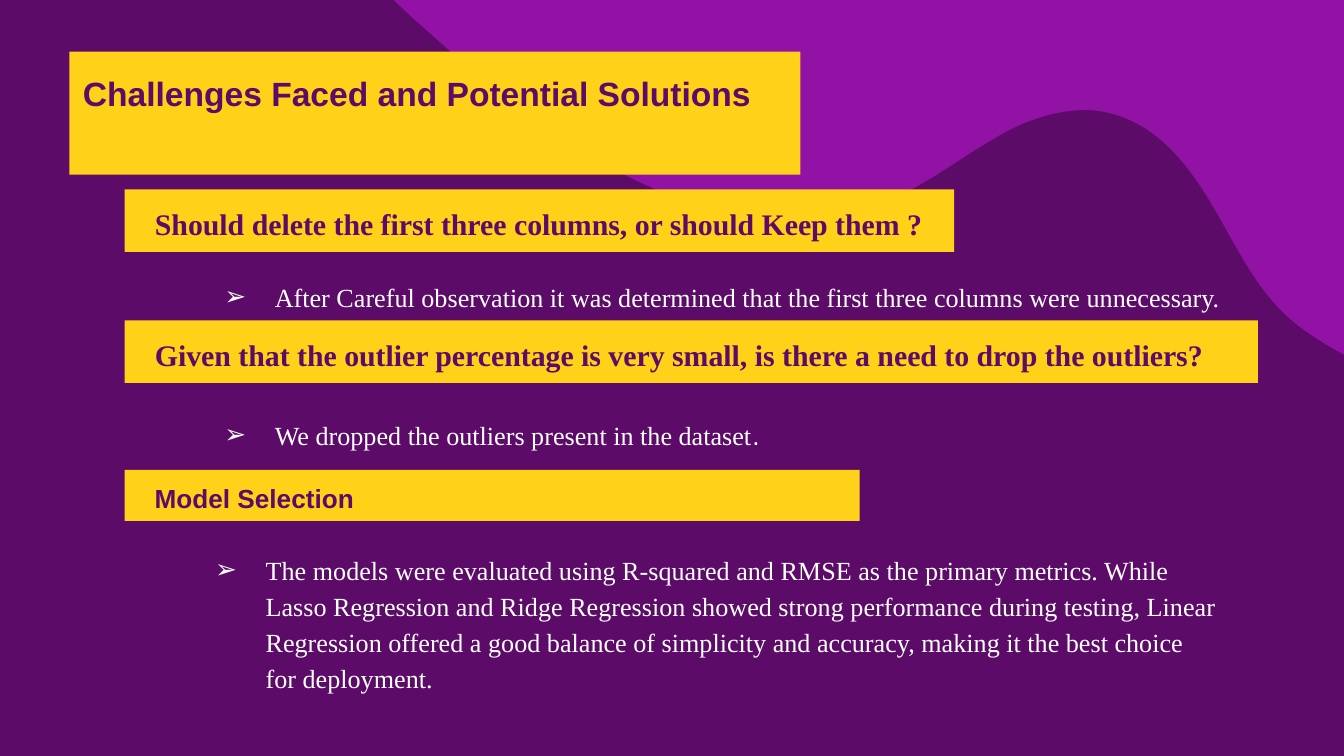
from lxml import etree
from pptx import Presentation
from pptx.dml.color import RGBColor
from pptx.enum import text as t
from pptx.oxml import ns
from pptx.util import Pt

HUES = {"back": "5C0B68", "wave": "9312A6", "gold": "FFD119", "white": "FFFFFF"}
SERIF, SANS = "Times New Roman", "Arial"


def write(par, words, font=SERIF, size=14, hue="white", bold=False):
    run = par.add_run()
    run.text = words
    run.font.name, run.font.size, run.font.bold = font, Pt(size), bold
    run.font.color.rgb = RGBColor.from_string(HUES[hue])


def frame(box, place, anchor, top=7.2):
    box.left, box.top, box.width, box.height = [Pt(n) for n in place]
    body = box.text_frame
    body.word_wrap, body.auto_size = True, t.MSO_AUTO_SIZE.NONE
    body.vertical_anchor = anchor
    body.margin_left = body.margin_right = body.margin_bottom = Pt(7.2)
    body.margin_top = Pt(top)
    par = body.paragraphs[0]
    par.alignment = t.PP_ALIGN.LEFT
    par.space_before = par.space_after = Pt(0)
    return par


prs = Presentation()
prs.slide_width, prs.slide_height = Pt(720), Pt(405)
slide = prs.slides.add_slide(prs.slide_layouts[4])
slide.background.fill.solid()
slide.background.fill.fore_color.rgb = RGBColor.from_string(HUES["back"])
title = slide.shapes.title

# Wave: every third knot lies on the curve, the two between steer it
knots = [(731, 196), (716, 188), (701, 180), (689, 169),
         (671, 152), (661, 129), (648, 107.5), (635, 86), (618, 65.5), (593, 60.3),
         (589, 59.3), (585, 59), (581, 59), (564.5, 59), (547, 65.5), (533, 74),
         (514, 85), (497.5, 98), (478, 106.5), (461, 114.5), (443, 117.4), (424, 117.4),
         (405, 117.4), (386, 114), (368, 108), (333, 96), (301, 75), (271, 52),
         (255, 39.5), (240, 26.5), (225.5, 13.5), (205, -4.5), (186, -25), (178, -49)]
knots = [(Pt(x), Pt(y)) for x, y in knots]
edge = [(Pt(738), Pt(-49)), (Pt(738), Pt(189))]
pen = slide.shapes.build_freeform(*knots[0])
pen.add_line_segments(knots[3::3] + edge, close=True)
wave = pen.convert_to_shape()
lines = list(wave.element.iter(ns.qn("a:lnTo")))
for i, line in enumerate(lines[:len(knots) // 3]):
    line.tag = ns.qn("a:cubicBezTo")
    for spot, (x, y) in enumerate(knots[3 * i + 1:3 * i + 3]):
        point = etree.Element(ns.qn("a:pt"), x=str(x - wave.left), y=str(y - wave.top))
        line.insert(spot, point)
wave.shadow.inherit = False
wave.fill.solid()
wave.fill.fore_color.rgb = RGBColor.from_string(HUES["wave"])
wave.line.fill.background()
title.element.addprevious(wave.element)

# Title
title.fill.solid()
title.fill.fore_color.rgb = RGBColor.from_string(HUES["gold"])
par = frame(title, (37.2, 27.6, 391.6, 66), t.MSO_ANCHOR.TOP, top=11.4)
write(par, "Challenges Faced and Potential Solutions", SANS, 18, "back", True)

# Questions on gold bars, each followed by its answer
bar, item = t.MSO_ANCHOR.MIDDLE, t.MSO_ANCHOR.TOP
rows = [
    (bar, (66.8, 101.4, 444.4, 33.5), SERIF, 16,
     "Should delete the first three columns, or should Keep them ?"),
    (item, (104, 140.8, 569.5, 27.4), SERIF, 14,
     "After Careful observation it was determined that the first three columns "
     "were unnecessary."),
    (bar, (66.8, 171.6, 607, 33.5), SERIF, 16,
     "Given that the outlier percentage is very small, is there a need to drop "
     "the outliers?"),
    (item, (104, 214.9, 407.5, 27.4), SERIF, 14,
     "We dropped the outliers present in the dataset"),
    (bar, (66.8, 251.7, 393.8, 27.4), SANS, 14, "Model Selection"),
    (item, (99.2, 287.1, 562.3, 88), SERIF, 14,
     "The models were evaluated using R-squared and RMSE as the primary metrics. "
     "While Lasso Regression and Ridge Regression showed strong performance during "
     "testing, Linear Regression offered a good balance of simplicity and accuracy, "
     "making it the best choice for deployment."),
]
boxes = list(slide.placeholders)[1:]
while len(boxes) < len(rows):
    boxes.append(slide.shapes.add_textbox(0, 0, 0, 0))

for box, (kind, place, font, size, words) in zip(boxes, rows):
    par = frame(box, place, kind)
    par.line_spacing = 1.15
    props = par._p.get_or_add_pPr()
    props.set("marL", str(Pt(36)))
    props.set("indent", str(-Pt(27)))
    if kind == bar:
        box.fill.solid()
        box.fill.fore_color.rgb = RGBColor.from_string(HUES["gold"])
        etree.SubElement(props, ns.qn("a:buNone"))
        write(par, words, font, size, "back", True)
    else:
        tint = etree.SubElement(props, ns.qn("a:buClr"))
        etree.SubElement(tint, ns.qn("a:srgbClr"), val=HUES["white"])
        etree.SubElement(props, ns.qn("a:buSzPts"), val="1400")
        etree.SubElement(props, ns.qn("a:buFont"), typeface=SANS)
        etree.SubElement(props, ns.qn("a:buChar"), char="➢")
        write(par, words, font, size)

# The second answer ends in a sans full stop
write(boxes[3].text_frame.paragraphs[0], ".", SANS)

prs.save("out.pptx")
